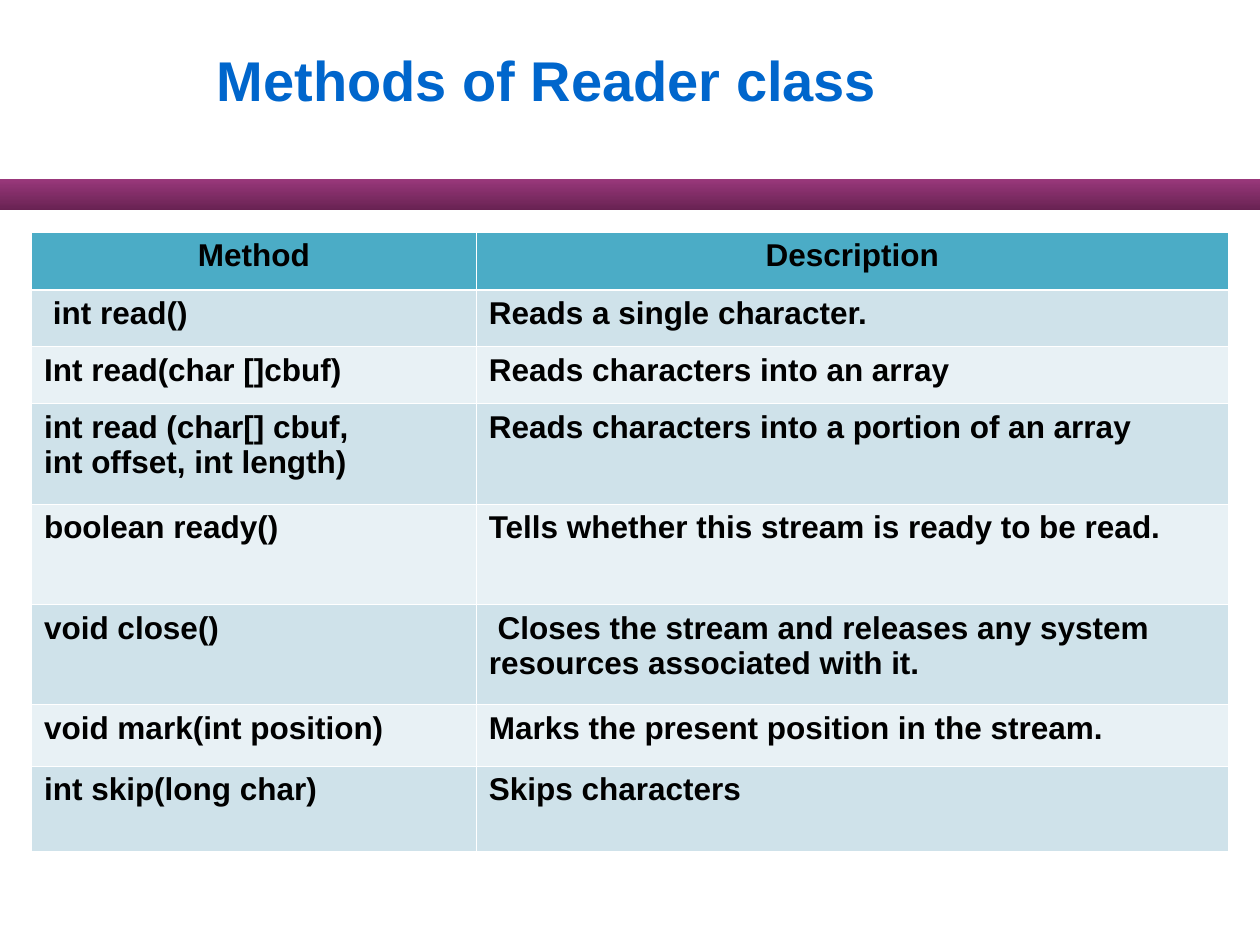
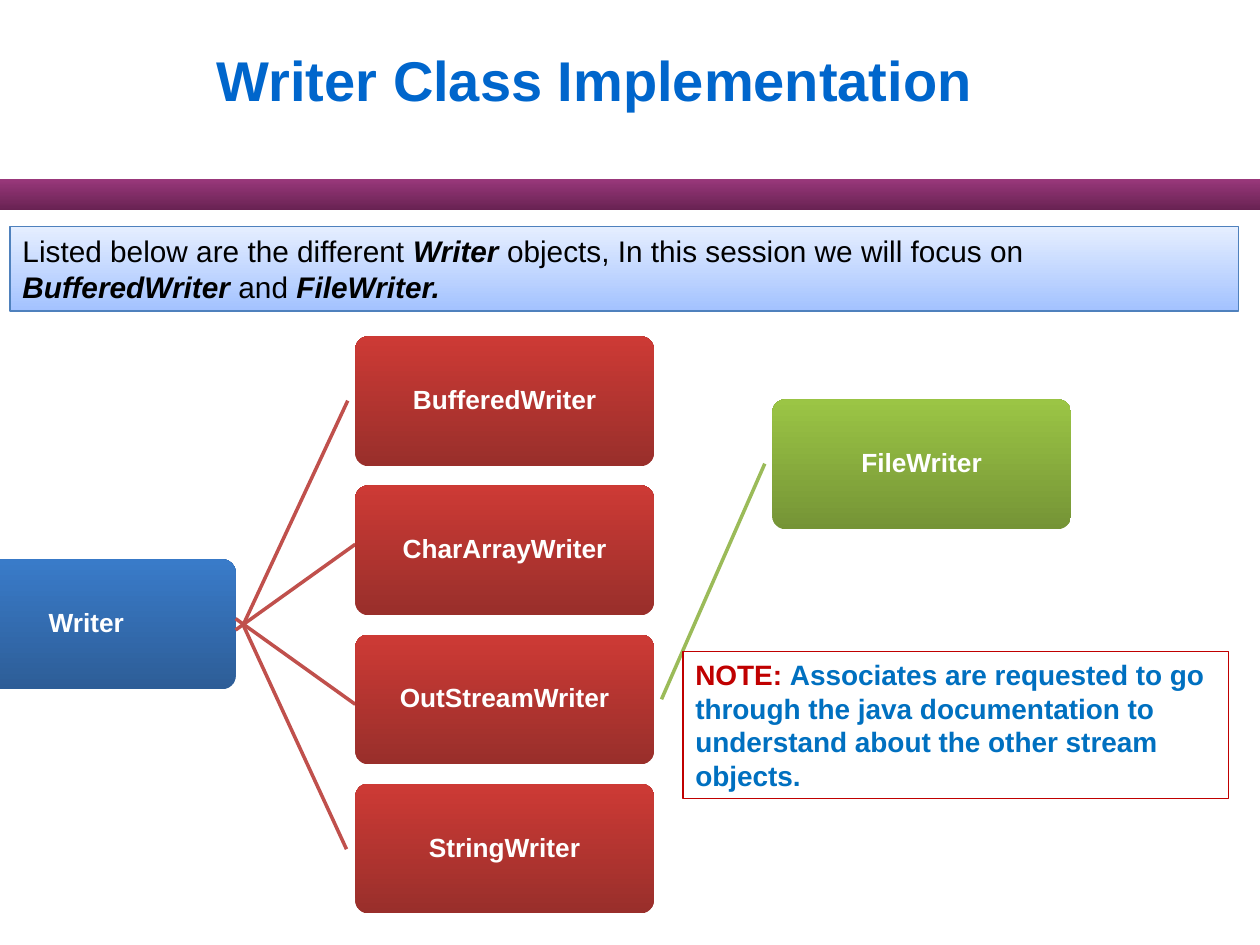
"""Builds two slides on the Java Reader and Writer classes."""
from dataclasses import dataclass

from lxml.etree import SubElement
from pptx import Presentation
from pptx.dml.color import RGBColor
from pptx.enum.shapes import MSO_CONNECTOR, MSO_SHAPE
from pptx.enum.text import MSO_ANCHOR, MSO_AUTO_SIZE, PP_ALIGN
from pptx.oxml.ns import qn
from pptx.util import Inches, Pt


@dataclass(frozen=True)
class Theme:
    font: str = "Arial"
    title: str = "0066CC"
    text: str = "000000"
    light: str = "FFFFFF"
    header: str = "4BACC6"
    rows: tuple = ("CFE2EA", "E8F1F5")
    band: tuple = ("682252", "99387B")
    root: tuple = ("2D5D97", "397BC9")
    child: tuple = ("992F2B", "CD3A35")
    leaf: tuple = ("759436", "9BC545")
    intro: tuple = ("A3C2FF", "E5EEFF")
    intro_line: str = "4F81BD"
    child_link: str = "C0504C"
    leaf_link: str = "9BBB59"
    note: str = "C00000"
    note_text: str = "0070C0"
    title_size: int = 32
    table_size: int = 18
    intro_size: int = 17
    note_size: int = 16
    node_size: int = 15


THEME = Theme()
NODE_WIDTH, NODE_HEIGHT = 2.37, 1.03
BOLD = {"bold": True}
EMPHASIS = {"bold": True, "italic": True}

COLUMN_WIDTHS = (3.53, 5.97)
ROW_HEIGHTS = (0.46, 0.45, 0.45, 0.8, 0.8, 0.79, 0.49, 0.68)
FIRST_LINE_INDENT = 0.07
INDENTED_CELLS = {(1, 0), (5, 1)}
METHODS = (
    ("Method", "Description"),
    ("int read()", "Reads a single character."),
    ("Int read(char []cbuf)", "Reads characters into an array"),
    ("int read (char[] cbuf,\vint offset, int length)", "Reads characters into a portion of an array"),
    ("boolean ready()", "Tells whether this stream is ready to be read."),
    ("void close()", "Closes the stream and releases any system resources associated with it."),
    ("void mark(int position)", "Marks the present position in the stream."),
    ("int skip(long char)", "Skips characters"),
)

WRITERS = ("BufferedWriter", "CharArrayWriter", "OutStreamWriter", "StringWriter")
WRITER_LINKS = (
    (1.93, 4.96, 2.76, 3.18),
    (1.87, 5, 2.82, 4.32),
    (1.87, 4.91, 2.82, 5.59),
    (1.93, 4.96, 2.75, 6.74),
)
FILE_WRITER_LINK = (5.25, 5.55, 6.07, 3.68)


def apply(target, values):
    for name, value in values.items():
        setattr(target, name, value)


class SlideBuilder:
    def __init__(self, deck, theme):
        self.deck, self.theme, self.page = deck, theme, None

    def start(self, title):
        self.page = self.deck.slides.add_slide(self.deck.slide_layouts[5])
        self.shape((0, 1.42, 10, 0.25), self.theme.band)
        box = self.page.shapes.title
        place = dict(zip(("left", "top", "width", "height"), map(Inches, (1.5, 0, 8.25, 1.25))))
        apply(box, place)
        frame = {"vertical_anchor": MSO_ANCHOR.MIDDLE, "margin_left": Inches(0.22),
                 "auto_size": MSO_AUTO_SIZE.NONE, "word_wrap": True}
        apply(box.text_frame, frame)
        self.add_text(box.text_frame.paragraphs[0], [(title, self.theme.title, BOLD)], self.theme.title_size)

    def add_text(self, para, spans, size, **layout):
        apply(para, {"alignment": PP_ALIGN.LEFT, **layout})
        for text, color, values in spans:
            for number, line in enumerate(text.split("\v")):
                if number:
                    para.add_line_break()
                span = para.add_run()
                span.text = line
                apply(span.font, {"name": self.theme.font, "size": Pt(size), "bold": False, **values})
                span.font.color.rgb = RGBColor.from_string(color)

    def shape(self, place, gradient=None, line=None, kind=MSO_SHAPE.RECTANGLE):
        box = self.page.shapes.add_shape(kind, *map(Inches, place))
        box.shadow.inherit = False
        if gradient:
            box.fill.gradient()
            box.fill.gradient_angle = 90
            for stop, color in zip(box.fill.gradient_stops, gradient):
                stop.color.rgb = RGBColor.from_string(color)
        else:
            box.fill.background()
        if line:
            box.line.color.rgb = RGBColor.from_string(line)
            box.line.width = Pt(0.75)
        else:
            box.line.fill.background()
        return box

    def callout(self, place, spans, size, line, gradient=None):
        box = self.shape(place, gradient, line)
        apply(box.text_frame, {"word_wrap": True, "vertical_anchor": MSO_ANCHOR.TOP,
                               "auto_size": MSO_AUTO_SIZE.SHAPE_TO_FIT_TEXT})
        self.add_text(box.text_frame.paragraphs[0], spans, size)

    def node(self, left, top, name, gradient):
        box = self.shape((left, top, NODE_WIDTH, NODE_HEIGHT), gradient, kind=MSO_SHAPE.ROUNDED_RECTANGLE)
        box.adjustments[0] = 0.1
        margins = {f"margin_{side}": Inches(0.01) for side in ("left", "top", "right", "bottom")}
        apply(box.text_frame, {"word_wrap": True, "vertical_anchor": MSO_ANCHOR.MIDDLE, **margins})
        self.add_text(box.text_frame.paragraphs[0], [(name, self.theme.light, BOLD)], self.theme.node_size,
                      alignment=PP_ALIGN.CENTER, line_spacing=0.9, space_after=Pt(6.5))

    def link(self, ends, color):
        line = self.page.shapes.add_connector(MSO_CONNECTOR.STRAIGHT, *map(Inches, ends))
        line.line.color.rgb = RGBColor.from_string(color)
        line.line.width = Pt(2)
        SubElement(line._element.spPr, qn("a:effectLst"))

    def border(self, cell, row):
        properties = cell._tc.get_or_add_tcPr()
        thick = {0: "lnB", 1: "lnT"}.get(row)
        for side in ("lnL", "lnR", "lnT", "lnB"):
            width = Pt(1.47) if side == thick else Pt(0.45)
            edge = SubElement(properties, qn(f"a:{side}"), w=str(width))
            SubElement(SubElement(edge, qn("a:solidFill")), qn("a:srgbClr"), val=self.theme.light)

    def table(self, left, top, rows):
        place = (left, top, sum(COLUMN_WIDTHS), sum(ROW_HEIGHTS))
        table = self.page.shapes.add_table(len(rows), len(COLUMN_WIDTHS), *map(Inches, place)).table
        for column, width in zip(table.columns, COLUMN_WIDTHS):
            column.width = Inches(width)
        for number, (texts, height) in enumerate(zip(rows, ROW_HEIGHTS)):
            table.rows[number].height = Inches(height)
            color = self.theme.rows[(number - 1) % 2] if number else self.theme.header
            for column, text in enumerate(texts):
                cell = table.cell(number, column)
                self.border(cell, number)
                cell.fill.solid()
                cell.fill.fore_color.rgb = RGBColor.from_string(color)
                para = cell.text_frame.paragraphs[0]
                if (number, column) in INDENTED_CELLS:
                    para._p.get_or_add_pPr().set("indent", str(Inches(FIRST_LINE_INDENT)))
                self.add_text(para, [(text, self.theme.text, BOLD)], self.theme.table_size,
                              alignment=PP_ALIGN.LEFT if number else PP_ALIGN.CENTER)


def reader_slide(builder):
    builder.start("Methods of Reader class")
    builder.table(0.25, 1.84, METHODS)


def writer_slide(builder):
    theme = builder.theme
    builder.start("Writer Class Implementation")
    builder.node(-0.5, 4.44, "Writer", theme.root)
    for number, (name, ends) in enumerate(zip(WRITERS, WRITER_LINKS)):
        builder.link(ends, theme.child_link)
        builder.node(2.82, 2.67 + number * 3.55 / 3, name, theme.child)
    builder.link(FILE_WRITER_LINK, theme.leaf_link)
    builder.node(6.13, 3.17, "FileWriter", theme.leaf)
    intro = [
        ("Listed below are the different ", theme.text, {}),
        ("Writer ", theme.text, EMPHASIS),
        ("objects, In this session we will focus on ", theme.text, {}),
        ("BufferedWriter", theme.text, EMPHASIS),
        (" and ", theme.text, {}),
        ("FileWriter.", theme.text, EMPHASIS),
    ]
    builder.callout((0.08, 1.8, 9.75, 0.67), intro, theme.intro_size, theme.intro_line, theme.intro)
    note = [
        ("NOTE: ", theme.note, BOLD),
        ("Associates are requested to go through the java documentation to understand "
         "about the other stream objects.", theme.note_text, BOLD),
    ]
    builder.callout((5.42, 5.17, 4.33, 1.17), note, theme.note_size, theme.note)


def main():
    deck = Presentation()
    apply(deck, {"slide_width": Inches(10), "slide_height": Inches(7.5)})
    builder = SlideBuilder(deck, THEME)
    reader_slide(builder)
    writer_slide(builder)
    deck.save("out.pptx")


if __name__ == "__main__":
    main()
